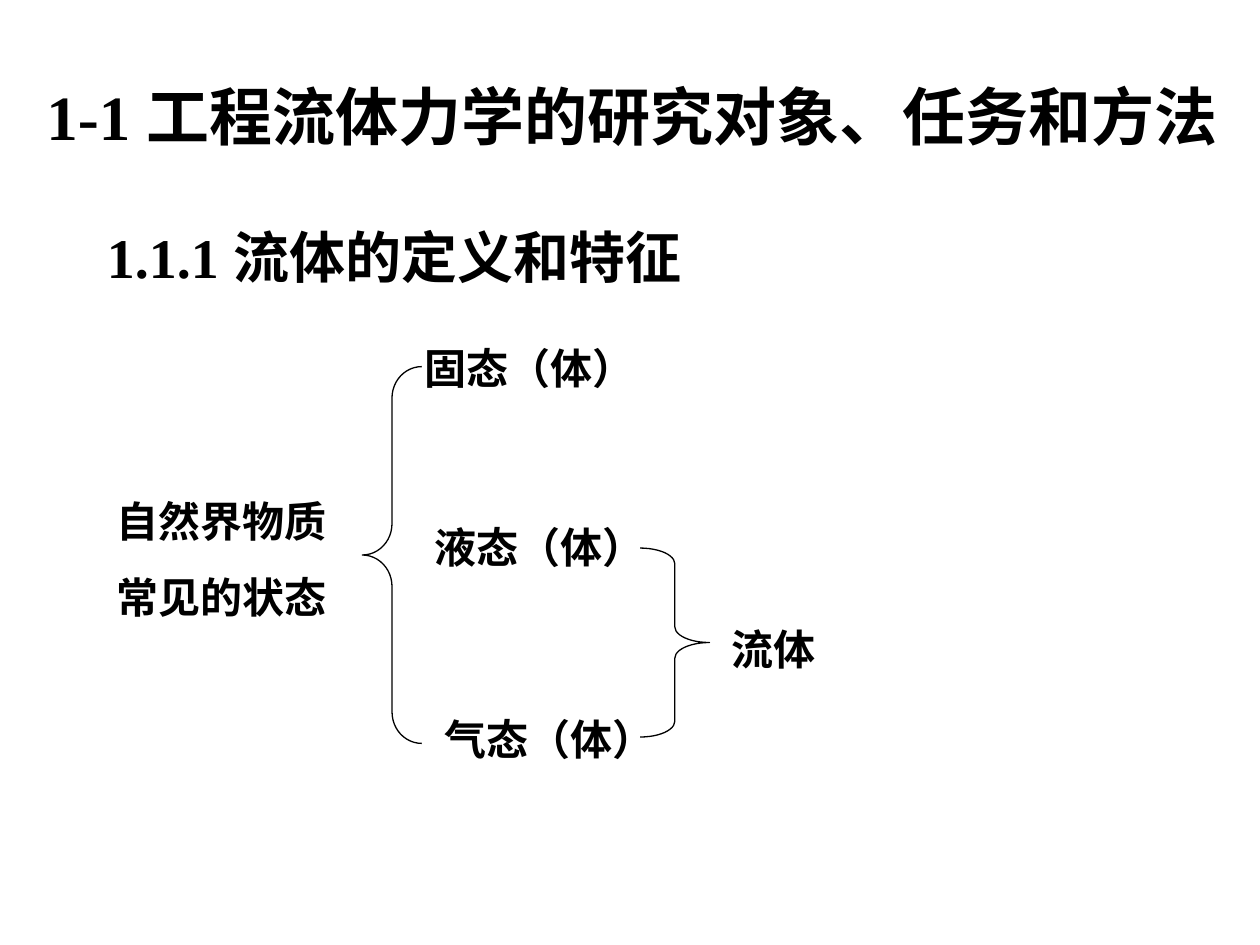
import pptx
import pptx.util
import pptx.dml.color
import pptx.enum.shapes
import pptx.enum.text

Pt = pptx.util.Pt
SHAPE = pptx.enum.shapes.MSO_SHAPE
ANCHOR = pptx.enum.text.MSO_ANCHOR
FIT = pptx.enum.text.MSO_AUTO_SIZE
BLACK = pptx.dml.color.RGBColor(0, 0, 0)
FONT = "Times New Roman"

deck = pptx.Presentation()
deck.slide_width, deck.slide_height = Pt(720), Pt(540)
slide = deck.slides.add_slide(deck.slide_layouts[6])


def add_text(lines, left, top, width, height, size, fit=FIT.NONE):
    box = slide.shapes.add_textbox(Pt(left), Pt(top), Pt(width), Pt(height))
    frame = box.text_frame
    frame.word_wrap = True
    frame.auto_size = fit
    for i, line in enumerate(lines):
        para = frame.paragraphs[0] if i == 0 else frame.add_paragraph()
        if i > 0:
            para.space_before = Pt(15)
        run = para.add_run()
        run.text = line
        run.font.name = FONT
        run.font.size = Pt(size)
        run.font.bold = True
        run.font.color.rgb = BLACK
    return frame


# Title and section heading
title = add_text(["1-1 工程流体力学的研究对象、任务和方法"], 19.44, 37.44, 700.56, 56.88, 36)
title.vertical_anchor = ANCHOR.MIDDLE
head = add_text(["1.1.1 流体的定义和特征"], 54, 128.16, 606.24, 41.76, 32)
para = head.paragraphs[0]
para.line_spacing = 0.9
props = para._p.get_or_add_pPr()
props.set("marL", str(Pt(27)))
props.set("indent", str(Pt(-27)))

# Labels of the tree: lines, left, top, width, height
labels = [
    (["自然界物质", "常见的状态"], 59.76, 279.36, 141.84, 79.92),
    (["固态（体）"], 235.44, 192.24, 153.36, 36),
    (["液态（体）"], 241.2, 294.48, 164.88, 36),
    (["气态（体）"], 246.96, 403.92, 159.12, 36),
    (["流体"], 411.12, 352.8, 67.68, 36),
]
for label in labels:
    add_text(*label, 24, FIT.SHAPE_TO_FIT_TEXT)

# Braces: the curve of each corner is a twelfth of the height
braces = [
    (SHAPE.LEFT_BRACE, 207, 209.5, 34, 215.3),
    (SHAPE.RIGHT_BRACE, 365.8, 313.2, 39.6, 108),
]
for kind, left, top, width, height in braces:
    brace = slide.shapes.add_shape(kind, Pt(left), Pt(top), Pt(width), Pt(height))
    brace.shadow.inherit = False
    brace.adjustments[0] = height / 12 / width
    brace.adjustments[1] = 0.5
    brace.fill.background()
    brace.line.color.rgb = BLACK
    brace.line.width = Pt(0.75)

deck.save("out.pptx")
